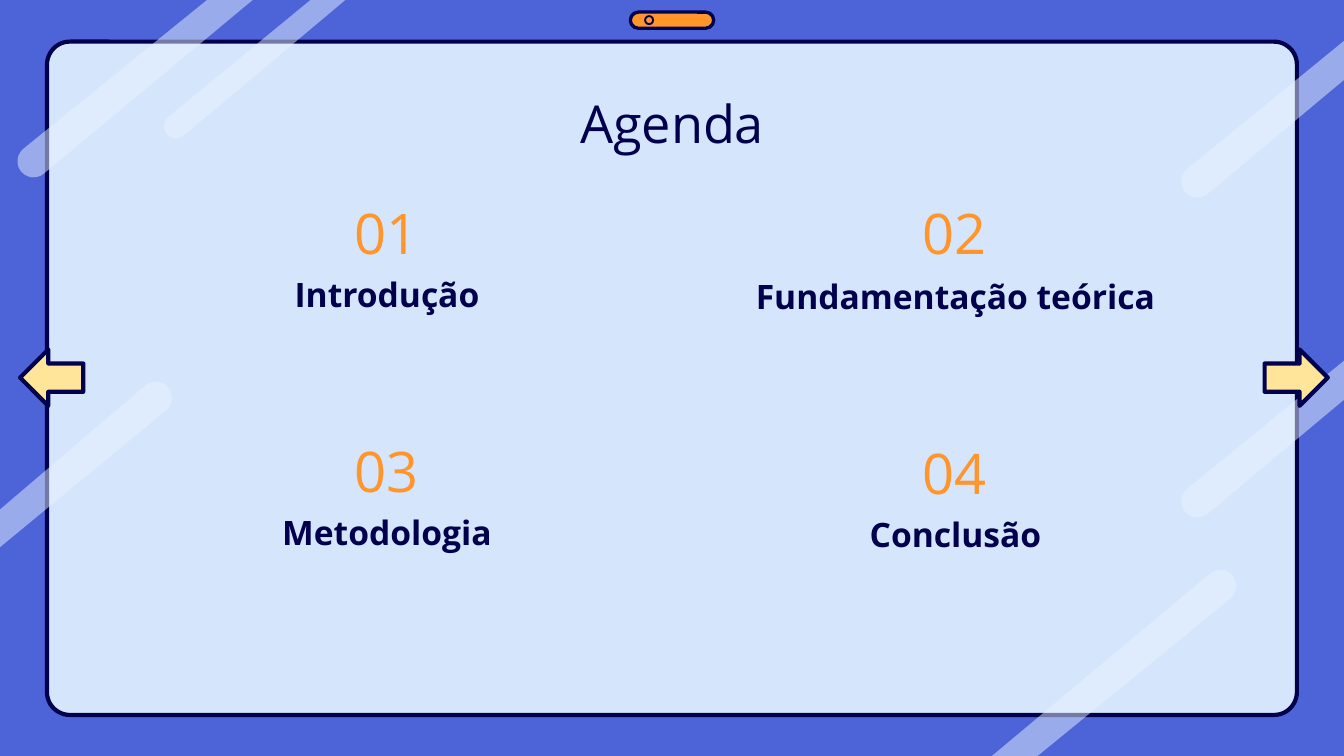
"""Builds an agenda slide with four numbered topics on a tablet-like panel."""
import math

from lxml import etree
from pptx import Presentation, util as u
from pptx.dml.color import RGBColor
from pptx.enum import shapes, text
from pptx.oxml import ns

COLORS = {
    "backdrop": "4C64D8",
    "panel": "D5E6FC",
    "ink": "00004D",
    "shine": "E9F3FF",
    "accent": "FF952B",
    "arrow": "FFE599",
}
FONT = "Open Sans"
KIND = shapes.MSO_SHAPE
SLIDE_WIDTH = 10
SLIDE_HEIGHT = SLIDE_WIDTH * 9 / 16

TOPICS = [
    ("01", "Introdução", (2.48, 1.52), (1.1, 1.98)),
    ("02", "Fundamentação teórica", (6.7, 1.52), (5.33, 1.99)),
    ("03", "Metodologia", (2.48, 3.29), (1.1, 3.75)),
    ("04", "Conclusão", (6.7, 3.3), (5.33, 3.76)),
]
STRIPES = [
    ((0.25, 1.2), 0.12, (1.88, 0), (1.54, 0)),
    ((1.31, 0.94), 0.09, (2.57, 0), (2.31, 0)),
    ((9.08, 4.36), 0.12, (7.38, SLIDE_HEIGHT), (7.72, SLIDE_HEIGHT)),
    ((8.91, 3.73), 0.12, (10.03, 2.95), (10.03, 2.66)),
    ((8.91, 1.35), 0.12, (10.03, 0.57), (10.03, 0.28)),
    ((1.16, 2.96), 0.12, (-0.01, 3.8), (-0.01, 4.08)),
]


def rgb(name):
    """Return the named palette colour."""
    return RGBColor.from_string(COLORS[name])


def add_outlined(slide, kind, box, fill, weight, corner=None):
    """Add a filled preset shape with a dark outline."""
    shape = slide.shapes.add_shape(kind, *map(u.Inches, box))
    shape.shadow.inherit = False
    shape.fill.solid()
    shape.fill.fore_color.rgb = rgb(fill)
    shape.line.color.rgb = rgb("ink")
    shape.line.width = u.Pt(weight)
    if corner is not None:
        shape.adjustments[0] = corner


def add_stripe(slide, center, radius, first_end, last_end):
    """Add a half-transparent stripe with one round cap and one cut end."""
    middle_x, middle_y = ((a + b) / 2 for a, b in zip(first_end, last_end))
    heading = math.atan2(middle_y - center[1], middle_x - center[0])
    angles = [heading + math.radians(turn) for turn in range(90, 271, 15)]
    cap = [(center[0] + radius * math.cos(angle),
            center[1] + radius * math.sin(angle)) for angle in angles]
    points = [(u.Inches(x), u.Inches(y)) for x, y in [first_end, *cap, last_end]]
    builder = slide.shapes.build_freeform(*points[0])
    builder.add_line_segments(points[1:], close=True)
    stripe = builder.convert_to_shape()
    stripe.shadow.inherit = False
    stripe.line.fill.background()
    stripe.fill.solid()
    stripe.fill.fore_color.rgb = rgb("shine")
    color = stripe.fill._xPr.find(".//" + ns.qn("a:srgbClr"))
    etree.SubElement(color, ns.qn("a:alpha"), val="50000")


def add_label(slide, wording, box, size, color, bold=False,
              anchor=text.MSO_ANCHOR.MIDDLE):
    """Add a centred line of text."""
    label = slide.shapes.add_textbox(*map(u.Inches, box))
    frame = label.text_frame
    frame.word_wrap = True
    frame.vertical_anchor = anchor
    frame.margin_left = frame.margin_right = u.Inches(0.1)
    frame.margin_top = frame.margin_bottom = u.Inches(0.1)
    frame.text = wording
    paragraph = frame.paragraphs[0]
    paragraph.alignment = text.PP_ALIGN.CENTER
    font = paragraph.runs[0].font
    font.name = FONT
    font.size = u.Pt(size)
    font.bold = bold
    font.color.rgb = rgb(color)


def add_topic(slide, number, name, number_at, name_at):
    """Add a topic number with its name below."""
    add_label(slide, number, (*number_at, 0.8, 0.42), 30, "accent")
    add_label(slide, name, (*name_at, 3.56, 0.42), 18, "ink", bold=True)


def main():
    """Build and save the slide."""
    deck = Presentation()
    deck.slide_width = u.Inches(SLIDE_WIDTH)
    deck.slide_height = u.Inches(SLIDE_HEIGHT)
    slide = deck.slides.add_slide(deck.slide_layouts[6])
    slide.background.fill.solid()
    slide.background.fill.fore_color.rgb = rgb("backdrop")

    add_outlined(slide, KIND.ROUNDED_RECTANGLE, (0.35, 0.31, 9.3, 5.01),
                 "panel", 2.25, corner=0.034)
    for stripe in STRIPES:
        add_stripe(slide, *stripe)
    add_outlined(slide, KIND.ROUNDED_RECTANGLE, (4.69, 0.09, 0.62, 0.12),
                 "accent", 1.75, corner=0.5)
    add_outlined(slide, KIND.OVAL, (4.8, 0.12, 0.06, 0.06), "accent", 1)

    add_label(slide, "Agenda", (0.79, 0.58, 8.42, 0.63), 28, "ink",
              anchor=text.MSO_ANCHOR.TOP)
    for topic in TOPICS:
        add_topic(slide, *topic)
    for kind, left in ((KIND.LEFT_ARROW, 0.15), (KIND.RIGHT_ARROW, 9.41)):
        add_outlined(slide, kind, (left, 2.6, 0.47, 0.42), "arrow", 2.25)
    deck.save("out.pptx")


if __name__ == "__main__":
    main()
